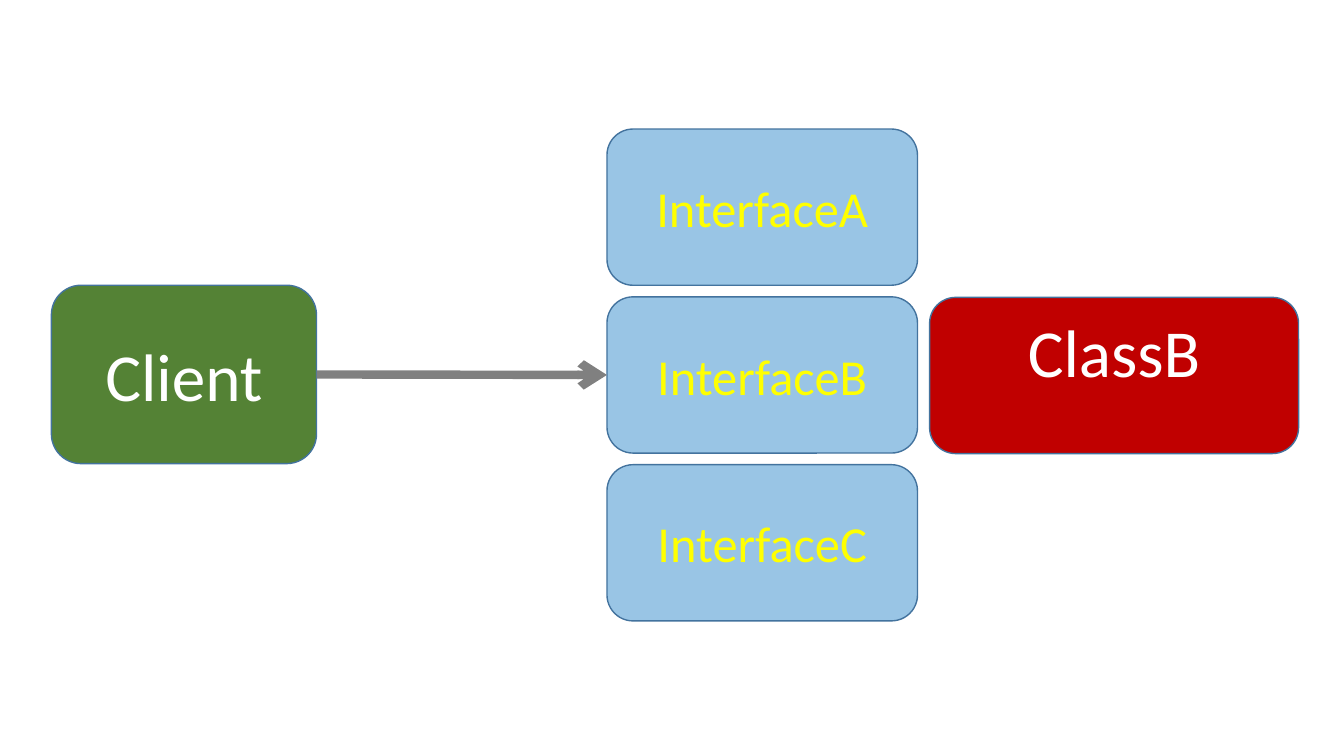
from lxml import etree
from pptx import Presentation
from pptx import util as u
from pptx.dml.color import RGBColor
from pptx.enum import shapes, text
from pptx.oxml import ns

FONT = "Calibri"
OUTLINE = "43739E"
RIGHT, LEFT = 3, 1


def color(hex_string):
    return RGBColor.from_string(hex_string)


def add_box(slide, box, label, fill, font_color="FFFFFF", size=48,
            anchor=text.MSO_ANCHOR.MIDDLE, opacity=100):
    """Add a labelled rounded box; box is left, top, width, height in inches."""
    shape = slide.shapes.add_shape(
        shapes.MSO_SHAPE.ROUNDED_RECTANGLE, *map(u.Inches, box))
    shape.shadow.inherit = False
    shape.fill.solid()
    shape.fill.fore_color.rgb = color(fill)
    if opacity < 100:
        fill_color = shape.fill._xPr.find(".//" + ns.qn("a:srgbClr"))
        etree.SubElement(fill_color, ns.qn("a:alpha"), val=str(opacity * 1000))
    shape.line.color.rgb = color(OUTLINE)
    shape.line.width = u.Pt(1)

    frame = shape.text_frame
    frame.word_wrap = True
    frame.vertical_anchor = anchor
    frame.text = label
    paragraph = frame.paragraphs[0]
    paragraph.alignment = text.PP_ALIGN.CENTER
    font = paragraph.runs[0].font
    font.name = FONT
    font.size = u.Pt(size)
    font.color.rgb = color(font_color)
    return shape


def add_interfaces(slide, box, labels, height=1.55):
    """Stack equal boxes evenly from the top to the bottom of the given box."""
    left, top, width, total_height = box
    pitch = (total_height - height) / (len(labels) - 1)
    return [
        add_box(slide, (left, top + row * pitch, width, height), label,
                "0070C0", "FFFF00", 36, opacity=40)
        for row, label in enumerate(labels)
    ]


def add_arrow(slide, source, target):
    """Join the right side of source to the left side of target."""
    connector = slide.shapes.add_connector(
        shapes.MSO_CONNECTOR.STRAIGHT, 0, 0, 0, 0)
    connector.begin_connect(source, RIGHT)
    connector.end_connect(target, LEFT)
    connector.line.color.rgb = color("808080")
    connector.line.width = u.Pt(6)
    etree.SubElement(connector.line._get_or_add_ln(),
                     ns.qn("a:tailEnd"), type="arrow")
    etree.SubElement(connector._element.spPr, ns.qn("a:effectLst"))


def main():
    presentation = Presentation()
    presentation.slide_width = u.Inches(13.33)
    presentation.slide_height = u.Inches(7.5)
    blank_layout = presentation.slide_layouts[6]
    slide = presentation.slides.add_slide(blank_layout)

    client = add_box(slide, (0.51, 2.83, 2.63, 1.77), "Client", "548235")
    add_box(slide, (9.22, 2.95, 3.66, 1.55), "ClassB", "C00000",
            anchor=text.MSO_ANCHOR.TOP)
    interfaces = add_interfaces(slide, (6.02, 1.28, 3.08, 4.88),
                                ["InterfaceA", "InterfaceB", "InterfaceC"])
    add_arrow(slide, client, interfaces[1])

    presentation.save("out.pptx")


if __name__ == "__main__":
    main()
